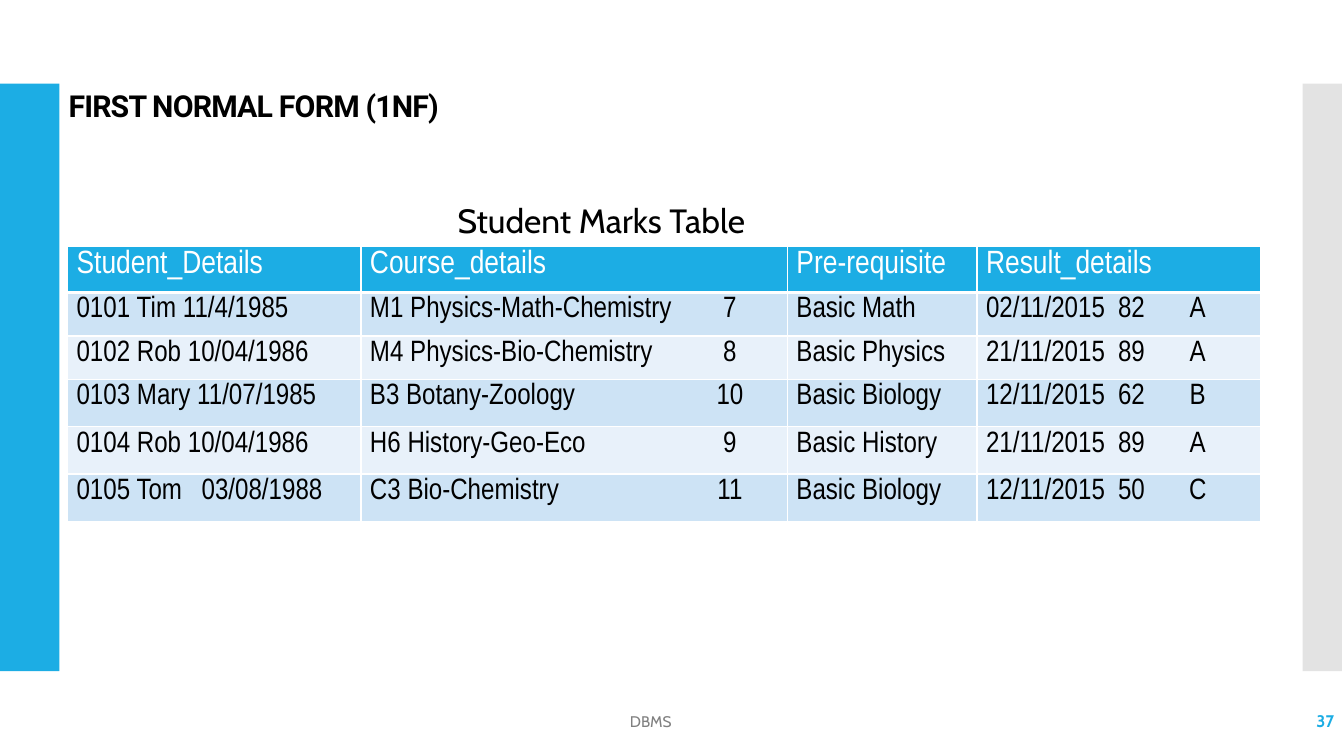
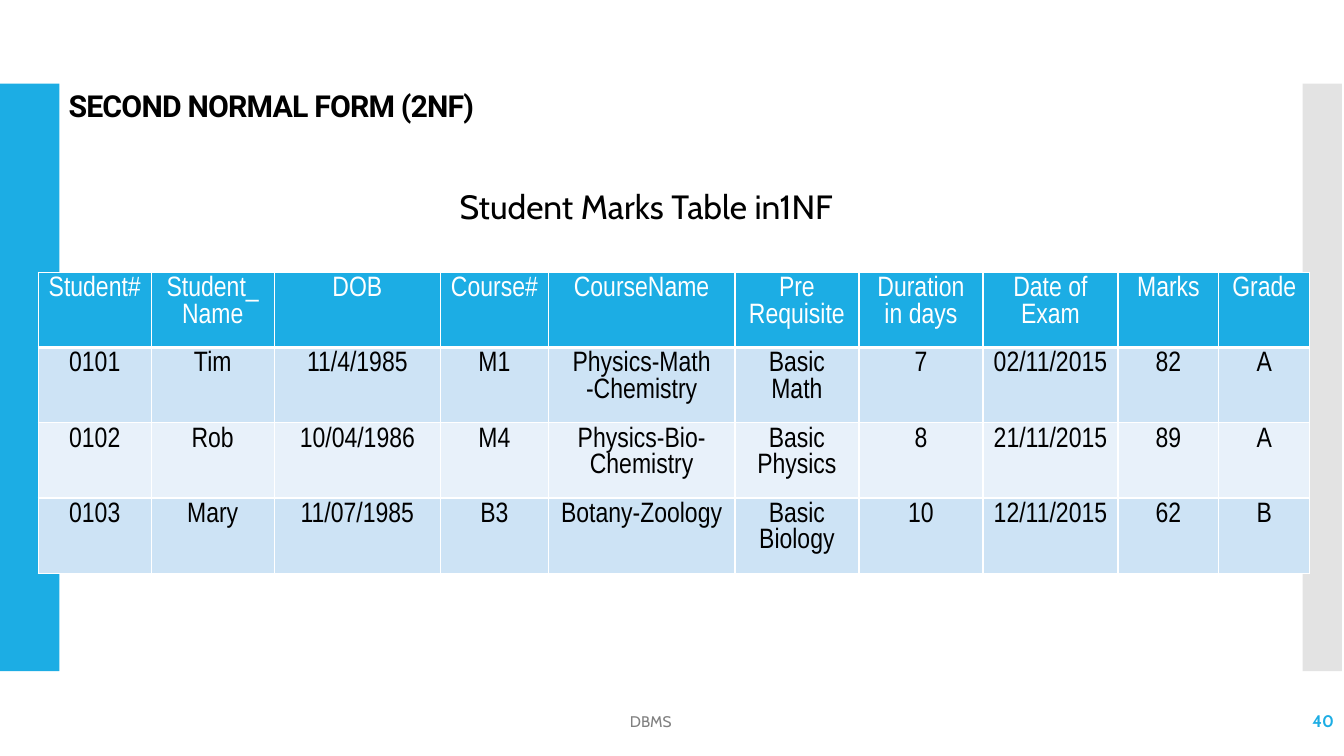
from lxml import etree
from pptx import Presentation
from pptx import util as u
from pptx.dml.color import RGBColor
from pptx.enum import shapes, text
from pptx.oxml.ns import qn

BLUE, GRAY, BLACK, WHITE = "1CADE4", "E3E3E3", "000000", "FFFFFF"
ROW_FILLS = ["CDE3F5", "E8F1FA"]
FOOTER = "DBMS"
BANDS = [(0, 0.59, BLUE), (12.92, 0.39, GRAY)]
LEFT, CENTER, RIGHT = text.PP_ALIGN.LEFT, text.PP_ALIGN.CENTER, text.PP_ALIGN.RIGHT

SLIDES = [
    {
        "title": "FIRST NORMAL FORM (1NF)",
        "number": "37",
        "caption": ("Student Marks Table", (4.44, 1.93, 3.63, 0.5)),
        "table": {
            "corner": (0.67, 2.44),
            "widths": [2.91, 4.23, 1.88, 2.81],
            "heights": [0.46, 0.43, 0.43, 0.47, 0.47, 0.47],
            "sizes": (23, 21),
            "align": LEFT,
            "tabs": {0: [(1.24, "l")], 1: [(3.57, "ctr")], 3: [(1.31, "l"), (2.1, "ctr")]},
            "rows": [
                ["Student_Details", "Course_details", "Pre-requisite", "Result_details"],
                ["0101 Tim 11/4/1985", "M1 Physics-Math-Chemistry\t7", "Basic Math", "02/11/2015\t82\tA"],
                ["0102 Rob 10/04/1986", "M4 Physics-Bio-Chemistry\t8", "Basic Physics", "21/11/2015\t89\tA"],
                ["0103 Mary 11/07/1985", "B3 Botany-Zoology\t10", "Basic Biology", "12/11/2015\t62\tB"],
                ["0104 Rob 10/04/1986", "H6 History-Geo-Eco\t9", "Basic History", "21/11/2015\t89\tA"],
                ["0105 Tom\t03/08/1988", "C3 Bio-Chemistry\t11", "Basic Biology", "12/11/2015\t50\tC"],
            ],
        },
    },
    {
        "title": "SECOND NORMAL FORM (2NF)",
        "number": "40",
        "caption": ("Student Marks Table in1NF", (4.46, 1.8, 4.48, 0.5)),
        "table": {
            "corner": (0.38, 2.7),
            "widths": [1.12, 1.22, 1.65, 1.07, 1.85, 1.23, 1.23, 1.34, 1.0, 0.9],
            "heights": [0.73, 0.72, 0.61, 0.61],
            "sizes": (20, 20),
            "align": CENTER,
            "tabs": {},
            "rows": [
                ["Student#", "Student_Name", "DOB", "Course#", "CourseName", "Pre\nRequisite",
                 "Duration in days", "Date of Exam", "Marks", "Grade"],
                ["0101", "Tim", "11/4/1985", "M1", "Physics-Math -Chemistry", "Basic Math",
                 "7", "02/11/2015", "82", "A"],
                ["0102", "Rob", "10/04/1986", "M4", "Physics-Bio-Chemistry", "Basic Physics",
                 "8", "21/11/2015", "89", "A"],
                ["0103", "Mary", "11/07/1985", "B3", "Botany-Zoology", "Basic Biology",
                 "10", "12/11/2015", "62", "B"],
            ],
        },
    },
]


def color(value):
    return RGBColor.from_string(value)


def write(frame, content, size, font="Cabin", fill=BLACK, bold=False, align=LEFT,
          anchor=text.MSO_ANCHOR.TOP, line_spacing=None, tracking=None, tabs=()):
    frame.word_wrap = True
    frame.vertical_anchor = anchor
    for index, line in enumerate(content.split("\n")):
        paragraph = frame.paragraphs[0] if index == 0 else frame.add_paragraph()
        paragraph.alignment = align
        if line_spacing:
            paragraph.line_spacing = line_spacing
        if tabs:
            tab_list = etree.SubElement(paragraph._p.get_or_add_pPr(), qn("a:tabLst"))
            for position, kind in tabs:
                etree.SubElement(tab_list, qn("a:tab"), pos=str(u.Inches(position)), algn=kind)
        run = paragraph.add_run()
        run.text = line
        run.font.name, run.font.size, run.font.bold = font, u.Pt(size), bold
        run.font.color.rgb = color(fill)
        if tracking:
            run._r.get_or_add_rPr().set("spc", str(int(tracking * 100)))


def add_text(slide, box, content, size, **style):
    shape = slide.shapes.add_textbox(*map(u.Inches, box))
    write(shape.text_frame, content, size, **style)


def add_bands(slide):
    for left, width, fill in BANDS:
        shape = slide.shapes.add_shape(shapes.MSO_SHAPE.RECTANGLE, u.Inches(left),
                                       u.Inches(0.83), u.Inches(width), u.Inches(5.83))
        shape.shadow.inherit = False
        shape.fill.solid()
        shape.fill.fore_color.rgb = color(fill)
        shape.line.fill.background()


def set_title(slide, content):
    title = slide.shapes.title
    title.left, title.top, title.width, title.height = map(u.Inches, (0.58, 0.86, 10.44, 0.4))
    title.text_frame.auto_size = text.MSO_AUTO_SIZE.NONE
    write(title.text_frame, content, 21.6, font="Roboto", bold=True,
          line_spacing=0.9, tracking=-0.6)


def set_borders(cell, top, bottom):
    properties = cell._tc.get_or_add_tcPr()
    for side, width in (("L", 1), ("R", 1), ("T", top), ("B", bottom)):
        line = etree.SubElement(properties, qn("a:ln" + side), w=str(u.Pt(width)))
        solid = etree.SubElement(line, qn("a:solidFill"))
        etree.SubElement(solid, qn("a:srgbClr"), val=WHITE)


def add_table(slide, corner, widths, heights, sizes, align, tabs, rows):
    extent = (*corner, sum(widths), sum(heights))
    table = slide.shapes.add_table(len(rows), len(widths), *map(u.Inches, extent)).table
    for column, width in zip(table.columns, widths):
        column.width = u.Inches(width)
    for row, height in zip(table.rows, heights):
        row.height = u.Inches(height)
    for row_index, values in enumerate(rows):
        header = row_index == 0
        for column_index, value in enumerate(values):
            cell = table.cell(row_index, column_index)
            cell.margin_left = cell.margin_right = u.Inches(0.09)
            cell.margin_top = cell.margin_bottom = u.Inches(0.04)
            set_borders(cell, 3 if row_index == 1 else 1, 3 if header else 1)
            cell.fill.solid()
            cell.fill.fore_color.rgb = color(BLUE if header else ROW_FILLS[(row_index - 1) % 2])
            write(cell.text_frame, value, sizes[0] if header else sizes[1],
                  font="Arial Narrow", fill=WHITE if header else BLACK, align=align,
                  tabs=tabs.get(column_index, ()) if "\t" in value else ())


def add_footer(slide, number):
    middle = text.MSO_ANCHOR.MIDDLE
    add_text(slide, (11.66, 6.95, 1.67, 0.4), number, 12, fill=BLUE, bold=True,
             align=RIGHT, anchor=middle)
    add_text(slide, (3.29, 6.96, 6.33, 0.39), FOOTER, 11, fill="808080",
             align=CENTER, anchor=middle)


def main():
    presentation = Presentation()
    presentation.slide_width, presentation.slide_height = u.Inches(13.33), u.Inches(7.5)
    for content in SLIDES:
        slide = presentation.slides.add_slide(presentation.slide_layouts[5])
        add_bands(slide)
        set_title(slide, content["title"])
        caption, box = content["caption"]
        add_text(slide, box, caption, 24)
        add_table(slide, **content["table"])
        add_footer(slide, content["number"])
    presentation.save("out.pptx")


if __name__ == "__main__":
    main()
